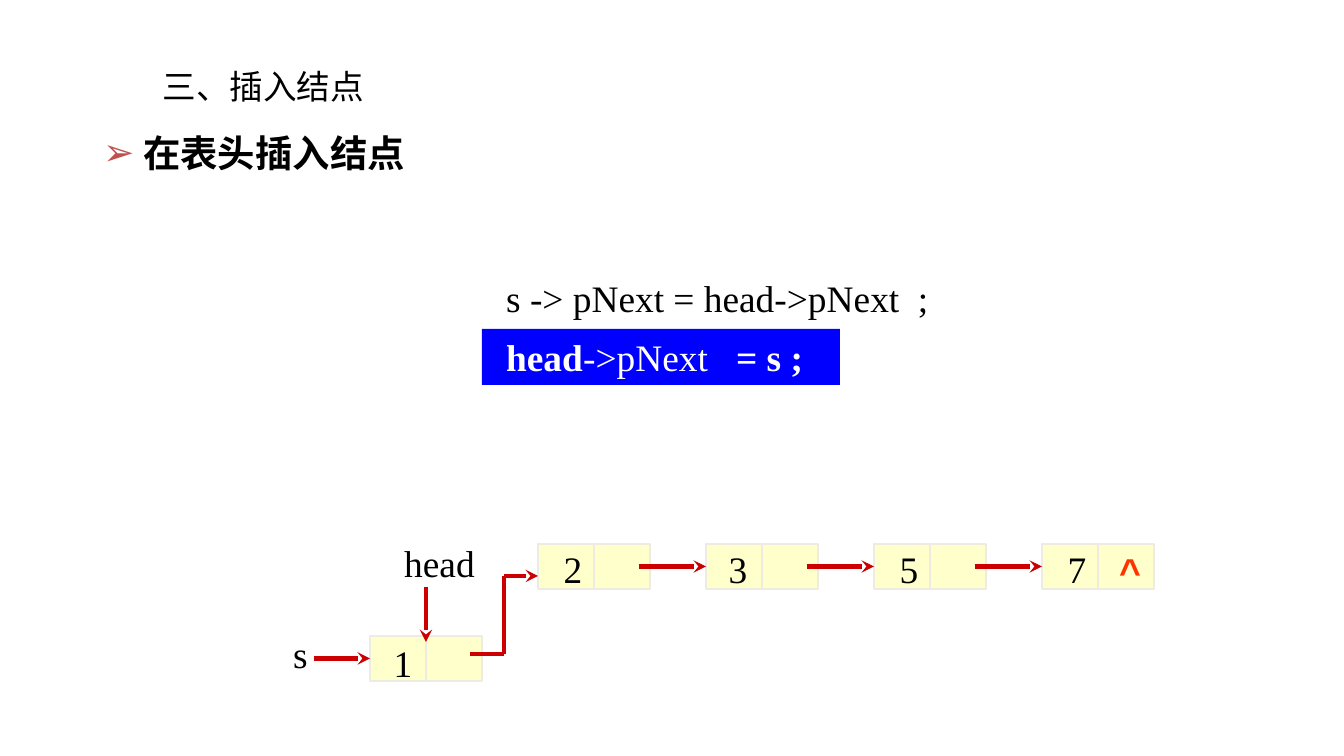
import pptx
import pptx.util
import pptx.dml.color
import pptx.enum.shapes
import pptx.enum.text
import pptx.oxml.ns
from dataclasses import dataclass
from lxml import etree

EMU_PER_PX = 914400 / 134.4
ALIGN = pptx.enum.text.PP_ALIGN
ANCHOR = pptx.enum.text.MSO_ANCHOR
TOP, LEFT, BOTTOM = 0, 1, 2


@dataclass(frozen=True)
class Theme:
    ink: str = "000000"
    light: str = "FFFFFF"
    highlight: str = "0000FF"
    bullet: str = "C0504D"
    node: str = "FFFFCC"
    border: str = "EEECE1"
    arrow: str = "CC0000"
    null: str = "FF3300"
    title_font: str = "Calibri"
    body_font: str = "Times New Roman"
    symbol_font: str = "Arial"
    title_size: int = 18
    body_size: int = 20
    border_width: float = 0.75
    arrow_width: float = 2.25


THEME = Theme()
NODE_W, NODE_H, NODE_STEP = 112, 45, 168
LIST_X, LIST_Y = 538, 544
NEW_X, NEW_Y = 370, 636
LABEL_H = 58


def px(n):
    return pptx.util.Emu(round(n * EMU_PER_PX))


def rgb(value):
    return pptx.dml.color.RGBColor.from_string(value)


def sub(parent, tag, **attrs):
    return etree.SubElement(parent, pptx.oxml.ns.qn(tag), **attrs)


def format_run(r, color=THEME.ink, bold=False, font=THEME.body_font, size=THEME.body_size):
    r.font.name = font
    r.font.size = pptx.util.Pt(size)
    r.font.bold = bold
    r.font.color.rgb = rgb(color)


def set_indent(p, margin, indent):
    pPr = p._p.get_or_add_pPr()
    pPr.set("marL", str(px(margin)))
    pPr.set("indent", str(px(indent)))
    return pPr


def add_title(s, text, x, y, w, h):
    sp = s.shapes.title
    sp.left, sp.top, sp.width, sp.height = px(x), px(y), px(w), px(h)
    tf = sp.text_frame
    tf.text = text
    tf.auto_size = pptx.enum.text.MSO_AUTO_SIZE.NONE
    tf.vertical_anchor = ANCHOR.MIDDLE
    p = tf.paragraphs[0]
    p.alignment = ALIGN.LEFT
    set_indent(p, 0, 9)
    format_run(p.runs[0], font=THEME.title_font, size=THEME.title_size)


def add_text(s, text, x, y, w, h=LABEL_H, align=ALIGN.CENTER, **style):
    tf = s.shapes.add_textbox(px(x), px(y), px(w), px(h)).text_frame
    tf.word_wrap = False
    tf.vertical_anchor = ANCHOR.MIDDLE
    p = tf.paragraphs[0]
    p.text = text
    p.alignment = align
    format_run(p.runs[0], **style)
    return tf


def add_bullet_line(s, text, x, y, w, h):
    tf = add_text(s, text, x, y, w, h, ALIGN.LEFT, bold=True)
    tf.word_wrap = True
    tf.vertical_anchor = ANCHOR.TOP
    p = tf.paragraphs[0]
    p.line_spacing = 1.4
    pPr = set_indent(p, 40, -40)
    sub(sub(pPr, "a:buClr"), "a:srgbClr", val=THEME.bullet)
    sub(pPr, "a:buFont", typeface=THEME.symbol_font)
    sub(pPr, "a:buChar", char="➢")


def add_code(s, x, y, w, h):
    tf = add_text(s, "s -> pNext = head->pNext  ;", x, y, w, h, ALIGN.LEFT)
    p = tf.add_paragraph()
    for text, bold in (("head", True), ("->pNext   ", False), ("= s ;", True)):
        r = p.add_run()
        r.text = text
        format_run(r, THEME.light, bold)
    for p in tf.paragraphs:
        p.line_spacing = 1.3


def add_rect(s, x, y, w, h, fill, border=None):
    sp = s.shapes.add_shape(pptx.enum.shapes.MSO_SHAPE.RECTANGLE, px(x), px(y), px(w), px(h))
    sp.shadow.inherit = False
    sp.fill.solid()
    sp.fill.fore_color.rgb = rgb(fill)
    if border:
        sp.line.color.rgb = rgb(border)
        sp.line.width = pptx.util.Pt(THEME.border_width)
    else:
        sp.line.fill.background()
    return sp


def add_line(s, x1, y1, x2, y2, color=THEME.arrow, width=THEME.arrow_width, arrow=False):
    line = s.shapes.add_connector(pptx.enum.shapes.MSO_CONNECTOR.STRAIGHT,
                                  px(x1), px(y1), px(x2), px(y2))
    line.line.color.rgb = rgb(color)
    line.line.width = pptx.util.Pt(width)
    if arrow:
        sub(line.line._get_or_add_ln(), "a:tailEnd", type="stealth")
    sub(line._element.spPr, "a:effectLst")
    return line


def add_node(s, value, x, y, label_dx, label_dy):
    node = add_rect(s, x, y, NODE_W, NODE_H, THEME.node, THEME.border)
    mid = x + NODE_W / 2
    divider = add_line(s, mid, y, mid, y + NODE_H, THEME.border, THEME.border_width)
    divider.begin_connect(node, TOP)
    divider.end_connect(node, BOTTOM)
    add_text(s, value, x + label_dx, y + label_dy, 46)
    return node


def add_arrow_to_node(s, node, x, y, length):
    arrow = add_line(s, x - length, y + NODE_H / 2, x, y + NODE_H / 2, arrow=True)
    arrow.end_connect(node, LEFT)


def add_list(s):
    for i, (value, label_dx) in enumerate((("2", 12), ("3", 9), ("5", 12), ("7", 12))):
        x = LIST_X + i * NODE_STEP
        node = add_node(s, value, x, LIST_Y, label_dx, -4)
        if i:
            add_arrow_to_node(s, node, x, LIST_Y, 67)
    add_text(s, "^", 1106, 542, 48, color=THEME.null, bold=True, font=THEME.symbol_font)


def add_new_node(s):
    node = add_node(s, "1", NEW_X, NEW_Y, 10, -2)
    add_arrow_to_node(s, node, NEW_X, NEW_Y, 56)
    add_text(s, "s", 253, 625, 68, align=ALIGN.RIGHT)
    add_text(s, "head", 387, 534, 105)
    bend_x, low_y, high_y = 504, 654, 576
    add_line(s, 470, low_y, bend_x, low_y)
    add_line(s, bend_x, high_y, bend_x, low_y)
    add_line(s, bend_x, high_y, LIST_X, high_y, arrow=True)
    add_line(s, 426, 587, 426, 642, arrow=True)


def main():
    prs = pptx.Presentation()
    prs.slide_width, prs.slide_height = px(1344), px(756)
    s = prs.slides.add_slide(prs.slide_layouts[5])
    add_title(s, "三、插入结点", 140, 57, 396, 58)
    add_rect(s, 482, 329, 358, 56, THEME.highlight)
    add_bullet_line(s, "在表头插入结点", 90, 106, 1176, 77)
    add_code(s, 493, 258, 452, 125)
    add_list(s)
    add_new_node(s)
    prs.save("out.pptx")


if __name__ == "__main__":
    main()
